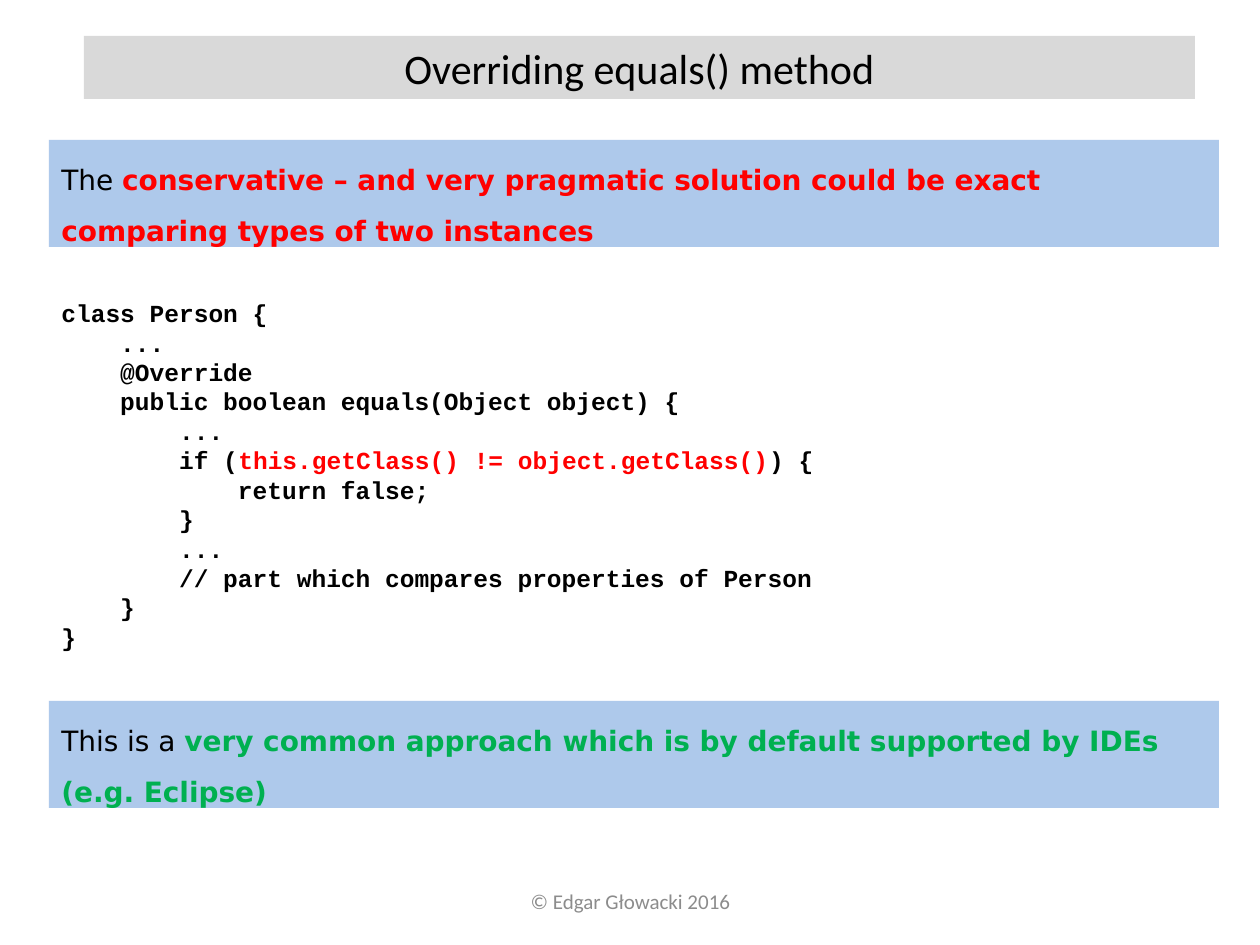
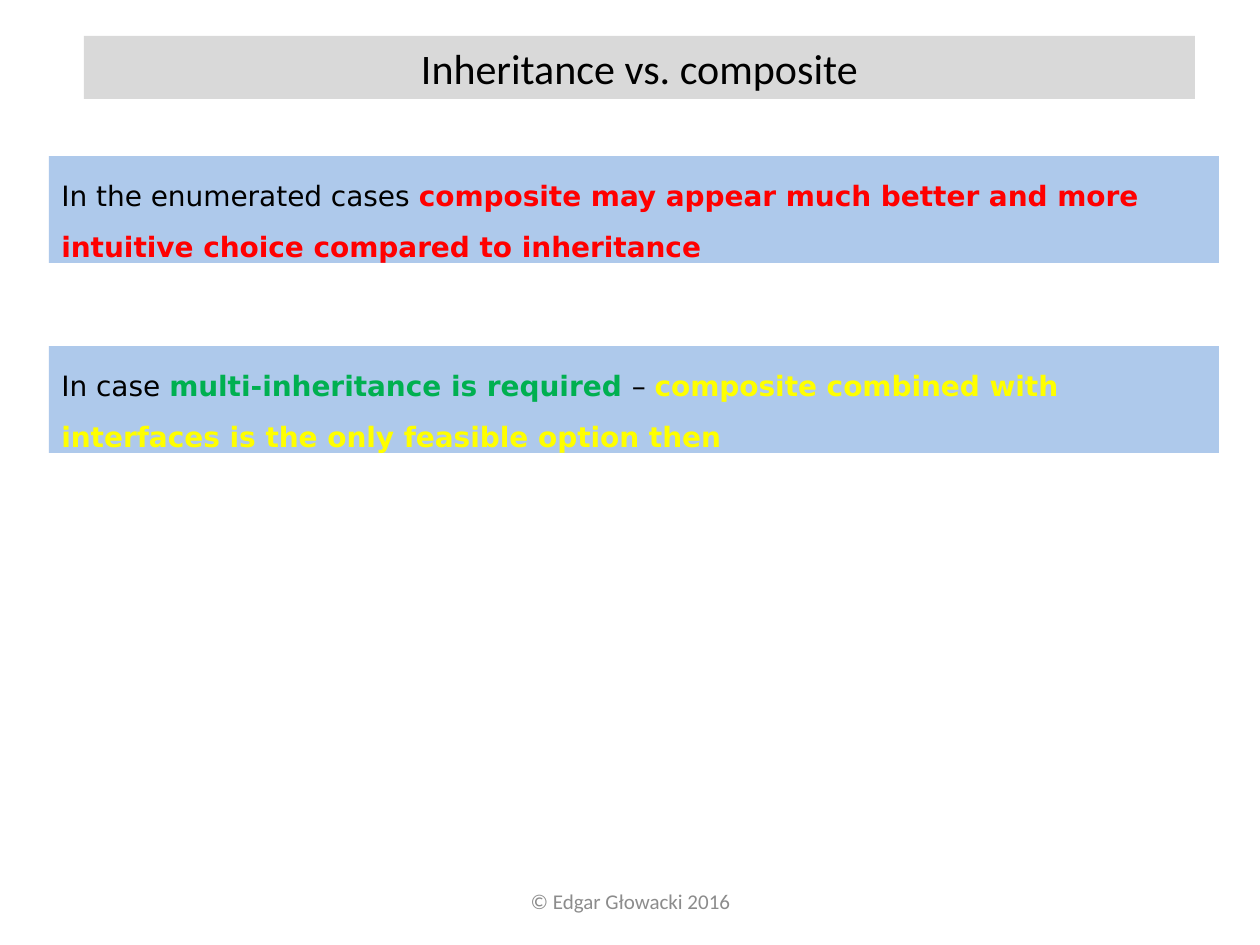
from dataclasses import dataclass

from lxml.etree import SubElement
from pptx import Presentation
from pptx.dml.color import RGBColor
from pptx.enum.shapes import MSO_SHAPE
from pptx.enum.text import MSO_ANCHOR, MSO_AUTO_SIZE, PP_ALIGN
from pptx.oxml.ns import qn
from pptx.shapes.autoshape import Shape
from pptx.slide import Slide
from pptx.util import Emu, Pt

PX_PER_INCH = 126


def px(length: int) -> Emu:
    return Emu(round(length * 914400 / PX_PER_INCH))


# Shared look
@dataclass(frozen=True)
class TextStyle:
    font: str
    size: int
    color: str = "000000"
    bold: bool = False
    align: PP_ALIGN = PP_ALIGN.LEFT
    line_spacing: float = 1.0


@dataclass(frozen=True)
class Theme:
    title_fill: str = "D9D9D9"
    band_fill: str = "8EB4E3"
    band_opacity: int = 71
    red: str = "FF0000"
    green: str = "00B050"
    yellow: str = "FFFF00"
    title: TextStyle = TextStyle("Calibri", 24, align=PP_ALIGN.CENTER)
    band: TextStyle = TextStyle("DejaVu Sans", 16, line_spacing=1.5)
    code: TextStyle = TextStyle("Courier New", 14, bold=True)
    footer: TextStyle = TextStyle("Calibri", 12, "8C8C8C", align=PP_ALIGN.CENTER)


THEME = Theme()


# Content types
@dataclass(frozen=True)
class Box:
    left: int
    top: int
    width: int
    height: int


@dataclass(frozen=True)
class Span:
    text: str
    color: str = ""  # empty means the plain style; a colour also means bold


@dataclass(frozen=True)
class Band:
    top: int
    spans: list[Span]


@dataclass(frozen=True)
class Page:
    title: str
    bands: list[Band]
    code: list[list[Span]]


TITLE_BOX = Box(84, 36, 1111, 63)
FOOTER_BOX = Box(431, 876, 399, 50)
CODE_BOX = Box(49, 292, 1167, 369)
BAND_LEFT, BAND_WIDTH, BAND_HEIGHT = 49, 1170, 107
FOOTER = "© Edgar Głowacki 2016"

PERSON_CLASS = [
    [Span("class Person {")],
    [Span("    ...")],
    [Span("    @Override")],
    [Span("    public boolean equals(Object object) {")],
    [Span("        ...")],
    [Span("        if ("), Span("this.getClass() != object.getClass()", THEME.red), Span(") {")],
    [Span("            return false;")],
    [Span("        }")],
    [Span("        ...")],
    [Span("        // part which compares properties of Person")],
    [Span("    }")],
    [Span("}")],
]

PAGES = [
    Page("Overriding equals() method", [
        Band(140, [
            Span("The "),
            Span("conservative – and very pragmatic solution could be exact "
                 "comparing types of two instances", THEME.red),
        ]),
        Band(701, [
            Span("This is a "),
            Span("very common approach which is by default supported by IDEs "
                 "(e.g. Eclipse)", THEME.green),
        ]),
    ], PERSON_CLASS),
    Page("Inheritance vs. composite", [
        Band(156, [
            Span("In the enumerated cases "),
            Span("composite may appear much better and more intuitive choice "
                 "compared to inheritance", THEME.red),
        ]),
        Band(346, [
            Span("In case "),
            Span("multi-inheritance is required ", THEME.green),
            Span("– "),
            Span("composite combined with interfaces is the only feasible option then",
                 THEME.yellow),
        ]),
    ], []),
]


# Drawing
def write(shape: Shape, lines: list[list[Span]], style: TextStyle) -> None:
    frame = shape.text_frame
    frame.word_wrap = True
    frame.vertical_anchor = MSO_ANCHOR.TOP
    frame.auto_size = MSO_AUTO_SIZE.SHAPE_TO_FIT_TEXT
    for index, spans in enumerate(lines):
        para = frame.add_paragraph() if index else frame.paragraphs[0]
        para.alignment = style.align
        para.line_spacing = style.line_spacing
        for span in spans:
            run = para.add_run()
            run.text = span.text
            run.font.name = style.font
            run.font.size = Pt(style.size)
            run.font.bold = style.bold or bool(span.color)
            run.font.color.rgb = RGBColor.from_string(span.color or style.color)


def add_text(page: Slide, box: Box, lines: list[list[Span]], style: TextStyle) -> Shape:
    shape = page.shapes.add_textbox(px(box.left), px(box.top), px(box.width), px(box.height))
    write(shape, lines, style)
    return shape


def add_panel(page: Slide, box: Box, spans: list[Span], style: TextStyle,
              fill: str, opacity: int = 100) -> None:
    shape = page.shapes.add_shape(MSO_SHAPE.RECTANGLE, px(box.left), px(box.top),
                                  px(box.width), px(box.height))
    shape.shadow.inherit = False
    shape.line.fill.background()
    shape.fill.solid()
    shape.fill.fore_color.rgb = RGBColor.from_string(fill)
    if opacity < 100:
        color = shape.fill._xPr.find(f"{qn('a:solidFill')}/{qn('a:srgbClr')}")
        SubElement(color, qn("a:alpha")).set("val", str(opacity * 1000))
    write(shape, [spans], style)


def add_footer(page: Slide) -> None:
    frame = add_text(page, FOOTER_BOX, [[Span(FOOTER)]], THEME.footer).text_frame
    frame.auto_size = MSO_AUTO_SIZE.NONE
    frame.vertical_anchor = MSO_ANCHOR.MIDDLE


def main() -> None:
    deck = Presentation()
    deck.slide_width, deck.slide_height = px(1260), px(945)
    for content in PAGES:
        page = deck.slides.add_slide(deck.slide_layouts[6])
        add_footer(page)
        add_panel(page, TITLE_BOX, [Span(content.title)], THEME.title, THEME.title_fill)
        for band in content.bands:
            add_panel(page, Box(BAND_LEFT, band.top, BAND_WIDTH, BAND_HEIGHT), band.spans,
                      THEME.band, THEME.band_fill, THEME.band_opacity)
        if content.code:
            add_text(page, CODE_BOX, content.code, THEME.code)
    deck.save("out.pptx")


if __name__ == "__main__":
    main()
